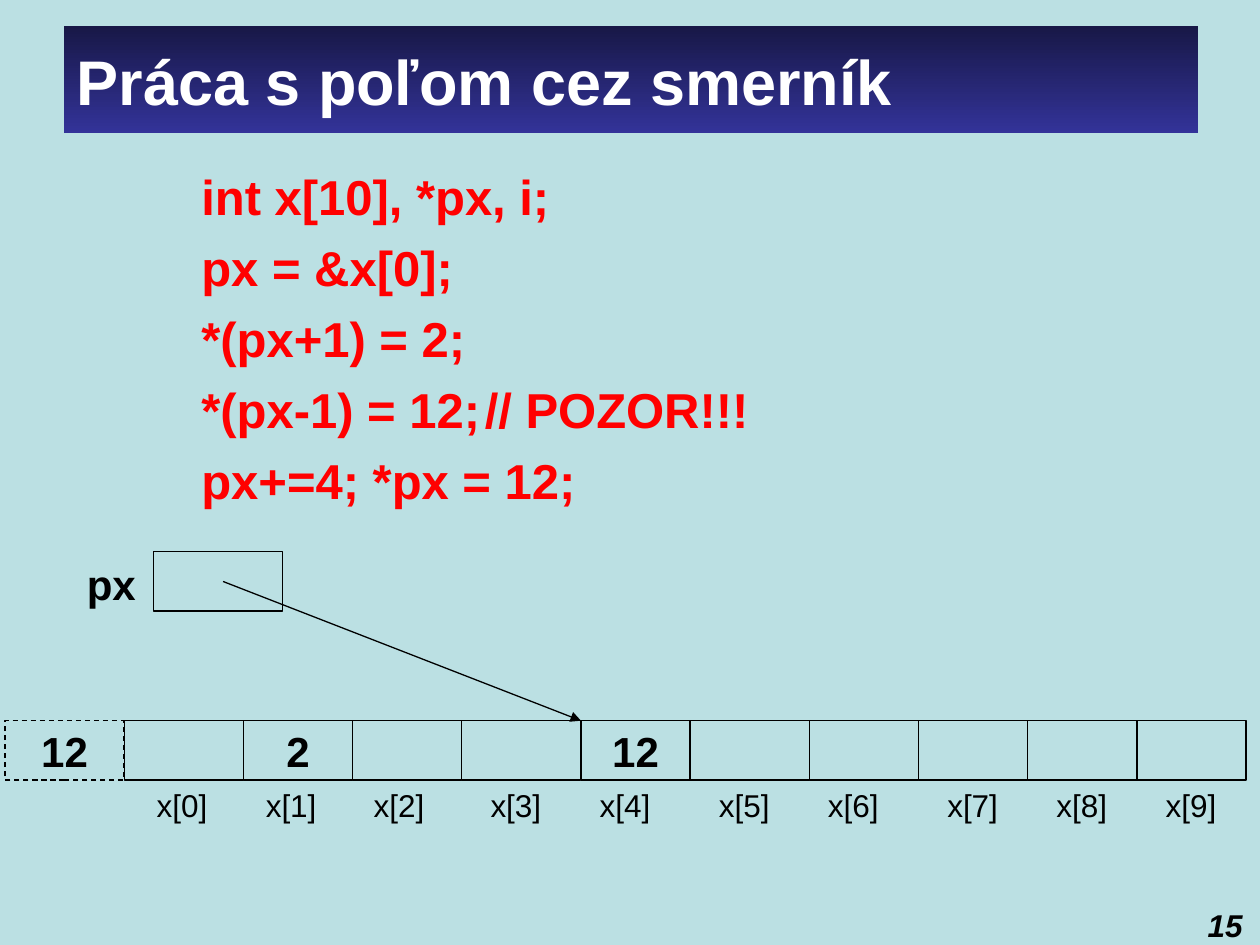
from itertools import accumulate
from pptx import Presentation
from pptx.dml.color import RGBColor as Rgb
from pptx.enum.dml import MSO_LINE_DASH_STYLE as Dash
from pptx.enum.shapes import MSO_CONNECTOR as Link, MSO_SHAPE as Kind
from pptx.enum.text import MSO_ANCHOR as Anchor, PP_ALIGN as Align
from pptx.oxml.ns import qn
from pptx.util import Inches, Pt
from lxml.etree import SubElement as Sub

# The slide is a grid of 100 columns and 75 rows.
COLS, ROWS = 100, 75
WIDE, HIGH = Inches(10), Inches(7.5)
HUES = {"back": "BBE0E3", "dark": "181847", "navy": "333399",
        "code": "FF0000", "ink": "000000", "white": "FFFFFF"}
CODE = ["int x[10], *px, i;", "px = &x[0];", "*(px+1) = 2;",
        "*(px-1) = 12;\t// POZOR!!!", "px+=4; *px = 12;"]
BIG, SLIM = 9.45, 8.66  # cell widths in columns
CELLS = [BIG, BIG, SLIM, SLIM, BIG, SLIM, BIG, SLIM, SLIM, SLIM, SLIM]
VALUES = {0: "12", 2: "2", 5: "12"}
SHIFTS = [1.6, 0.8, 0.7, 1.3, 0.5, 1.3, 0.5, 1.3, 1.3, 1.3]  # label offsets


def hue(name):
    return Rgb.from_string(HUES[name])


def place(x, y, w, h):
    """Turn grid columns and rows into slide lengths."""
    return [round(n * side / count) for n, side, count in
            ((x, WIDE, COLS), (y, HIGH, ROWS), (w, WIDE, COLS), (h, HIGH, ROWS))]


def write(shape, lines, color="ink", align=Align.LEFT, anchor=Anchor.TOP,
          wrap=False, **font):
    frame = shape.text_frame
    look = {"word_wrap": wrap, "vertical_anchor": anchor}
    for key, val in look.items():
        setattr(frame, key, val)
    for i, line in enumerate(lines):
        para = frame.paragraphs[0] if i == 0 else frame.add_paragraph()
        para.alignment = align
        run = para.add_run()
        run.text = line
        for key, val in {"name": "Arial", "bold": True, **font}.items():
            setattr(run.font, key, val)
        run.font.color.rgb = hue(color)
    return frame


def label(slide, box, lines, **look):
    return write(slide.shapes.add_textbox(*place(*box)), lines, **look)


def rect(slide, box):
    shape = slide.shapes.add_shape(Kind.RECTANGLE, *place(*box))
    shape.shadow.inherit = False
    return shape


def cell(slide, box, text="", dashed=False):
    shape = rect(slide, box)
    if dashed:
        shape.fill.background()
        shape.line.dash_style = Dash.DASH
    else:
        shape.fill.solid()
        shape.fill.fore_color.rgb = hue("back")
    shape.line.color.rgb = hue("ink")
    shape.line.width = Pt(0.75)
    if text:
        write(shape, [text], align=Align.CENTER, anchor=Anchor.MIDDLE,
              size=Pt(24))


def title(slide, box):
    bar = rect(slide, box)
    bar.line.fill.background()
    bar.fill.gradient()
    bar.fill.gradient_angle = 270
    for stop, name in zip(bar.fill.gradient_stops, ("dark", "navy")):
        stop.color.rgb = hue(name)
    for stop, spot in zip(bar.fill.gradient_stops, (0, 1)):
        stop.position = spot
    write(bar, ["Práca s poľom cez smerník"], color="white",
          anchor=Anchor.MIDDLE, wrap=True, size=Pt(36))


def code(slide, box):
    frame = label(slide, box, CODE, color="code", wrap=True, size=Pt(28))
    frame.margin_top = Inches(0.09)
    for i, para in enumerate(frame.paragraphs):
        props = para._p.get_or_add_pPr()
        props.set("marL", str(Inches(1.25)))
        props.set("indent", str(Inches(-0.25)))
        Sub(props, qn("a:buNone"))
        if i:
            para.space_before = Pt(7)


def array(slide, box):
    """Draw the cells and their index labels; return the left edges."""
    x, y, w, h = box
    unit = w / sum(CELLS)
    edges = list(accumulate((n * unit for n in CELLS), initial=x))
    for i, (left, size) in enumerate(zip(edges, CELLS)):
        cell(slide, (left, y, size * unit, h), VALUES.get(i, ""), i == 0)
    for i, (left, shift) in enumerate(zip(edges[1:], SHIFTS)):
        label(slide, (left + shift, y + h, 6, 4), [f"x[{i}]"],
              size=Pt(18), bold=False)
    return edges


def pointer(slide, box, goal):
    """Draw the px cell with its name and an arrow to the goal."""
    x, y, w, h = box
    cell(slide, box)
    label(slide, (x - 6.3, y, 5.9, 5), ["px"], size=Pt(24))
    start = place(x + 0.54 * w, y + h / 2, 0, 0)[:2]
    arrow = slide.shapes.add_connector(Link.STRAIGHT, *start,
                                       *place(*goal, 0, 0)[:2])
    arrow.line.color.rgb = hue("ink")
    arrow.line.width = Pt(0.75)
    Sub(arrow.line._get_or_add_ln(), qn("a:tailEnd"), type="triangle")
    Sub(arrow._element.spPr, qn("a:effectLst"))


def main():
    deck = Presentation()
    deck.slide_width, deck.slide_height = WIDE, HIGH
    slide = deck.slides.add_slide(deck.slide_layouts[6])
    slide.background.fill.solid()
    slide.background.fill.fore_color.rgb = hue("back")
    title(slide, (5.1, 2.1, 90, 8.5))
    code(slide, (5, 12.3, 90, 30.5))
    top = 57.2
    edges = array(slide, (0.4, top, 98.5, 4.7))
    pointer(slide, (12.2, 43.8, 10.2, 4.7), (edges[5], top))
    label(slide, (94.3, 71.4, 5.3, 3.1), ["15"], align=Align.RIGHT,
          wrap=True, size=Pt(18), italic=True)
    deck.save("out.pptx")


if __name__ == "__main__":
    main()
